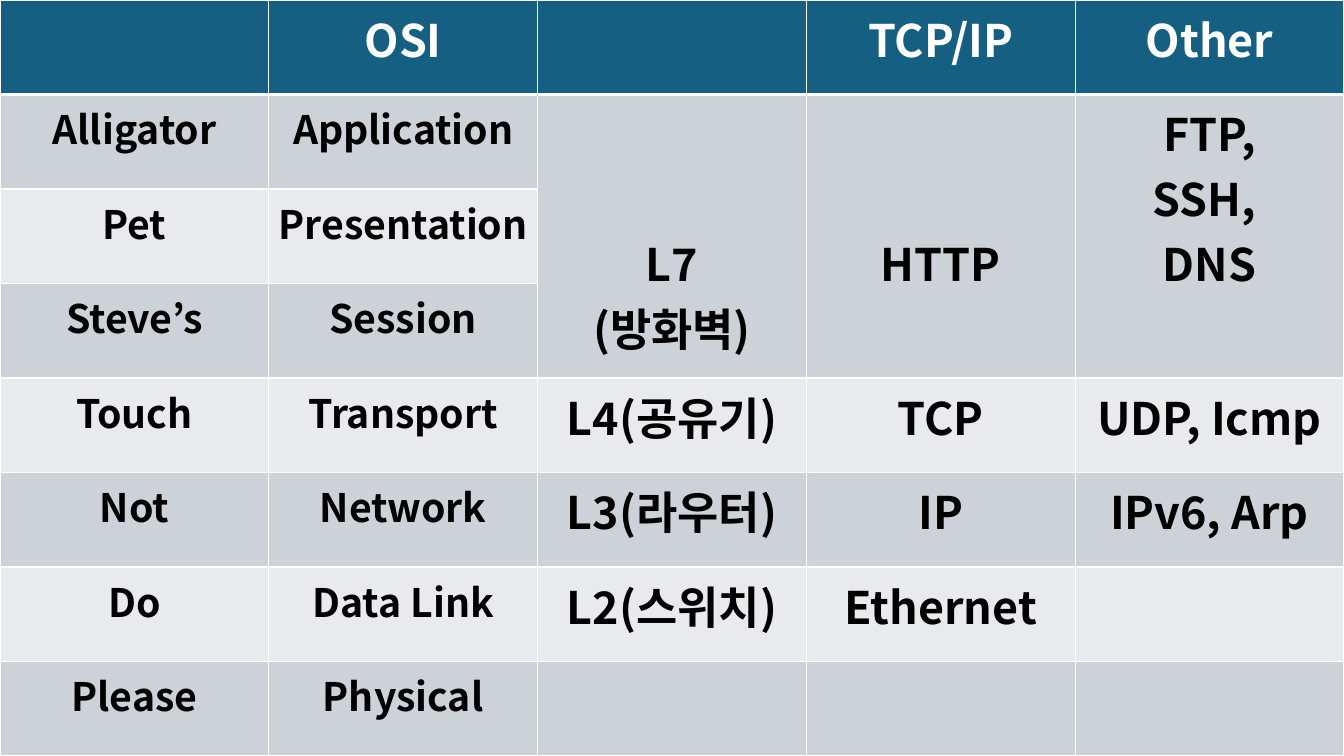
from dataclasses import dataclass

from lxml import etree
from pptx import Presentation
from pptx.dml.color import RGBColor
from pptx.enum.text import MSO_ANCHOR, PP_ALIGN
from pptx.oxml.ns import qn
from pptx.table import Table, _Cell
from pptx.util import Pt

CENTER = PP_ALIGN.CENTER
TOP = MSO_ANCHOR.TOP
FONT = "Noto Sans CJK KR"
WIDTH, HEIGHT = 960, 540
ROWS, COLS = 8, 5
WHITE, BLACK, HEAD = "FFFFFF", "000000", "156082"
BANDS = ("E8EAED", "CCD2D8")
SMALL, LARGE = 28, 32
THIN, THICK = 1, 3
PAD = 3.6


@dataclass
class Entry:
    row: int
    col: int
    text: str
    size: float = LARGE
    span: int = 1
    top: float = PAD


# Wording: "\n" parts paragraphs, "\v" breaks a line
LAYERS = (
    ("Alligator", "Application"),
    ("Pet", "Presentation"),
    ("Steve’s", "Session"),
    ("Touch", "Transport"),
    ("Not", "Network"),
    ("Do", "Data Link"),
    ("Please", "Physical"),
)
ENTRIES = [
    Entry(0, 1, "OSI"),
    Entry(0, 3, "TCP/IP"),
    Entry(0, 4, "Other"),
    Entry(1, 2, "L7\v(방화벽)", span=3, top=96.3),
    Entry(1, 3, "HTTP", span=3, top=96.3),
    Entry(1, 4, "FTP,\nSSH, \nDNS", span=3),
    Entry(4, 2, "L4(공유기)"),
    Entry(4, 3, "TCP"),
    Entry(4, 4, "UDP, Icmp"),
    Entry(5, 2, "L3(라우터)"),
    Entry(5, 3, "IP"),
    Entry(5, 4, "IPv6, Arp"),
    Entry(6, 2, "L2(스위치)"),
    Entry(6, 3, "Ethernet"),
] + [
    Entry(row, col, text, SMALL)
    for row, pair in enumerate(LAYERS, 1)
    for col, text in enumerate(pair)
]


def color(code: str) -> RGBColor:
    return RGBColor.from_string(code)


def border(cell: _Cell, side: str, width: float) -> None:
    props = cell._tc.get_or_add_tcPr()
    line = etree.SubElement(props, qn(f"a:ln{side}"), w=str(Pt(width)))
    fill = etree.SubElement(line, qn("a:solidFill"))
    etree.SubElement(fill, qn("a:srgbClr"), val=WHITE)


def paint(cell: _Cell, row: int) -> None:
    border(cell, "L", THIN)
    border(cell, "R", THIN)
    border(cell, "T", THICK if row == 1 else THIN)
    border(cell, "B", THICK if row == 0 else THIN)
    cell.fill.solid()
    cell.fill.fore_color.rgb = color(BANDS[row % 2] if row else HEAD)


def write(table: Table, entry: Entry) -> None:
    cell = table.cell(entry.row, entry.col)
    if entry.span > 1:
        cell.merge(table.cell(entry.row + entry.span - 1, entry.col))
    cell.margin_top = Pt(entry.top)
    cell.vertical_anchor = TOP
    cell.text_frame.text = entry.text
    style = {"name": FONT, "size": Pt(entry.size), "bold": True}
    for para in cell.text_frame.paragraphs:
        para.alignment = CENTER
        for run in para.runs:
            for key, value in style.items():
                setattr(run.font, key, value)
            run.font.color.rgb = color(BLACK if entry.row else WHITE)
            # Korean letters take the East Asian face
            props = run._r.get_or_add_rPr()
            etree.SubElement(props, qn("a:ea"), typeface=FONT)


def main() -> None:
    deck = Presentation()
    deck.slide_width, deck.slide_height = Pt(WIDTH), Pt(HEIGHT)
    slide = deck.slides.add_slide(deck.slide_layouts[6])

    # Even grid across the whole slide
    frame = slide.shapes.add_table(ROWS, COLS, 0, 0, Pt(WIDTH), Pt(HEIGHT))
    table = frame.table
    table.first_row = table.horz_banding = False
    for row in range(ROWS):
        for col in range(COLS):
            paint(table.cell(row, col), row)

    # Text and merged cells
    for entry in ENTRIES:
        write(table, entry)
    deck.save("out.pptx")


if __name__ == "__main__":
    main()
